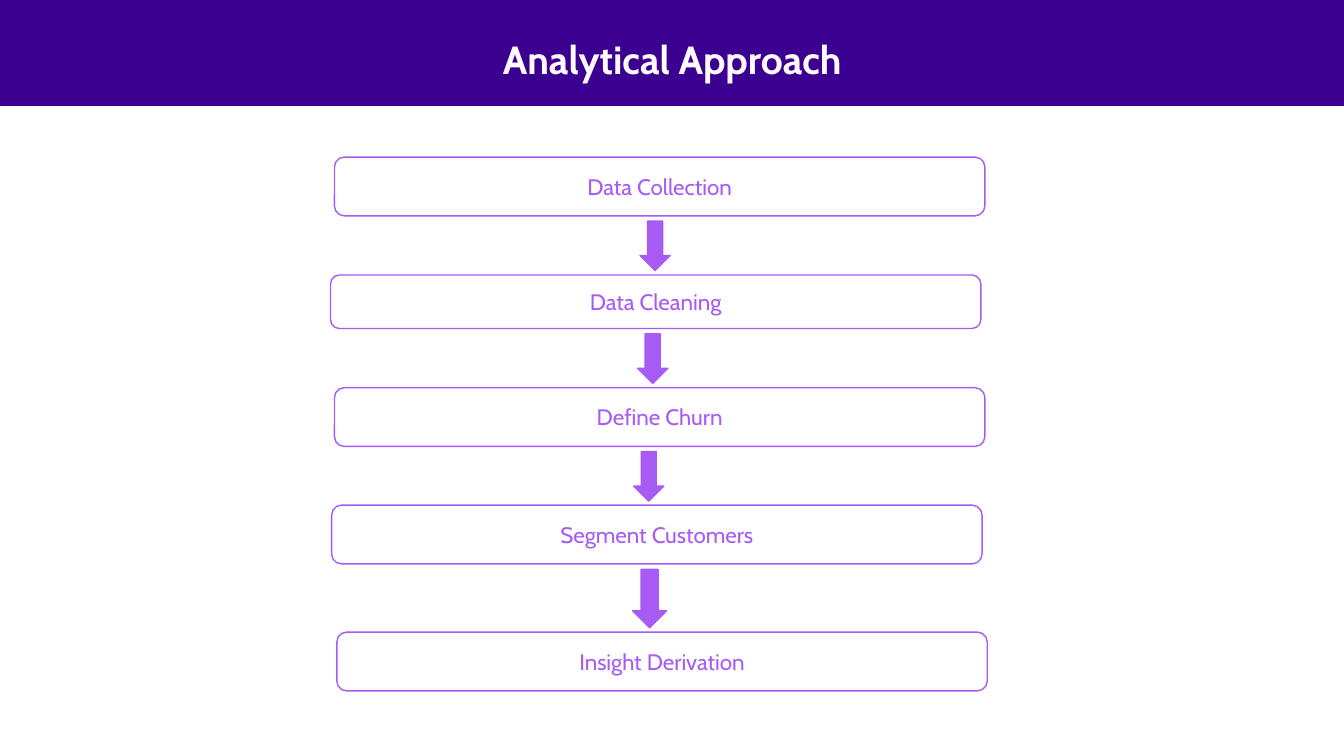
"""Build the Analytical Approach slide: five process steps joined by arrows."""
from pptx import Presentation
from pptx.dml.color import RGBColor
from pptx.enum.shapes import MSO_SHAPE
from pptx.enum.text import MSO_ANCHOR, MSO_AUTO_SIZE, PP_ALIGN
from pptx.util import Cm, Pt

COLORS = {"banner": "3C0091", "title": "FFFBFF", "accent": "A75AF4", "paper": "FFFFFF"}
FONT = "Cabin"


def add_block(kind, left, top, width, height, fill, line=None):
    block = slide.shapes.add_shape(kind, Cm(left), Cm(top), Cm(width), Cm(height))
    block.shadow.inherit = False
    block.fill.solid()
    block.fill.fore_color.rgb = RGBColor.from_string(COLORS[fill])
    if line:
        block.line.color.rgb = RGBColor.from_string(COLORS[line])
        block.line.width = Pt(1)
    else:
        block.line.fill.background()
    return block


def write_centered(frame, text, size, color, bold=False):
    frame.text = text
    frame.word_wrap = True
    paragraph = frame.paragraphs[0]
    paragraph.alignment = PP_ALIGN.CENTER
    font = paragraph.runs[0].font
    font.name = FONT
    font.size = Pt(size)
    font.bold = bold
    font.color.rgb = RGBColor.from_string(COLORS[color])


presentation = Presentation()
presentation.slide_width = Cm(33.87)
presentation.slide_height = Cm(19.05)
slide = presentation.slides.add_slide(presentation.slide_layouts[5])

title = slide.shapes.title
banner = add_block(MSO_SHAPE.RECTANGLE, 0, 0, 33.87, 2.67, "banner")
title.element.addprevious(banner.element)

title.left, title.top, title.width, title.height = Cm(4.04), Cm(0.76), Cm(25.8), Cm(1.45)
write_centered(title.text_frame, "Analytical Approach", 28, "title", bold=True)
title.text_frame.vertical_anchor = MSO_ANCHOR.TOP
title.text_frame.auto_size = MSO_AUTO_SIZE.NONE

steps = [
    ("Data Collection", 8.43, 3.96, 1.48),
    ("Data Cleaning", 8.33, 6.93, 1.35),
    ("Define Churn", 8.43, 9.77, 1.48),
    ("Segment Customers", 8.36, 12.73, 1.48),
    ("Insight Derivation", 8.49, 15.93, 1.48),
]
for label, left, top, height in steps:
    step = add_block(MSO_SHAPE.ROUNDED_RECTANGLE, left, top, 16.39, height, "paper", "accent")
    write_centered(step.text_frame, label, 16, "accent")
    step.text_frame.vertical_anchor = MSO_ANCHOR.MIDDLE

arrows = [
    (16.13, 5.57, 0.76, 1.25),
    (16.07, 8.41, 0.76, 1.25),
    (15.97, 11.38, 0.76, 1.25),
    (15.94, 14.35, 0.86, 1.47),
]
for left, top, width, height in arrows:
    add_block(MSO_SHAPE.DOWN_ARROW, left, top, width, height, "accent", "accent")

presentation.save("out.pptx")
